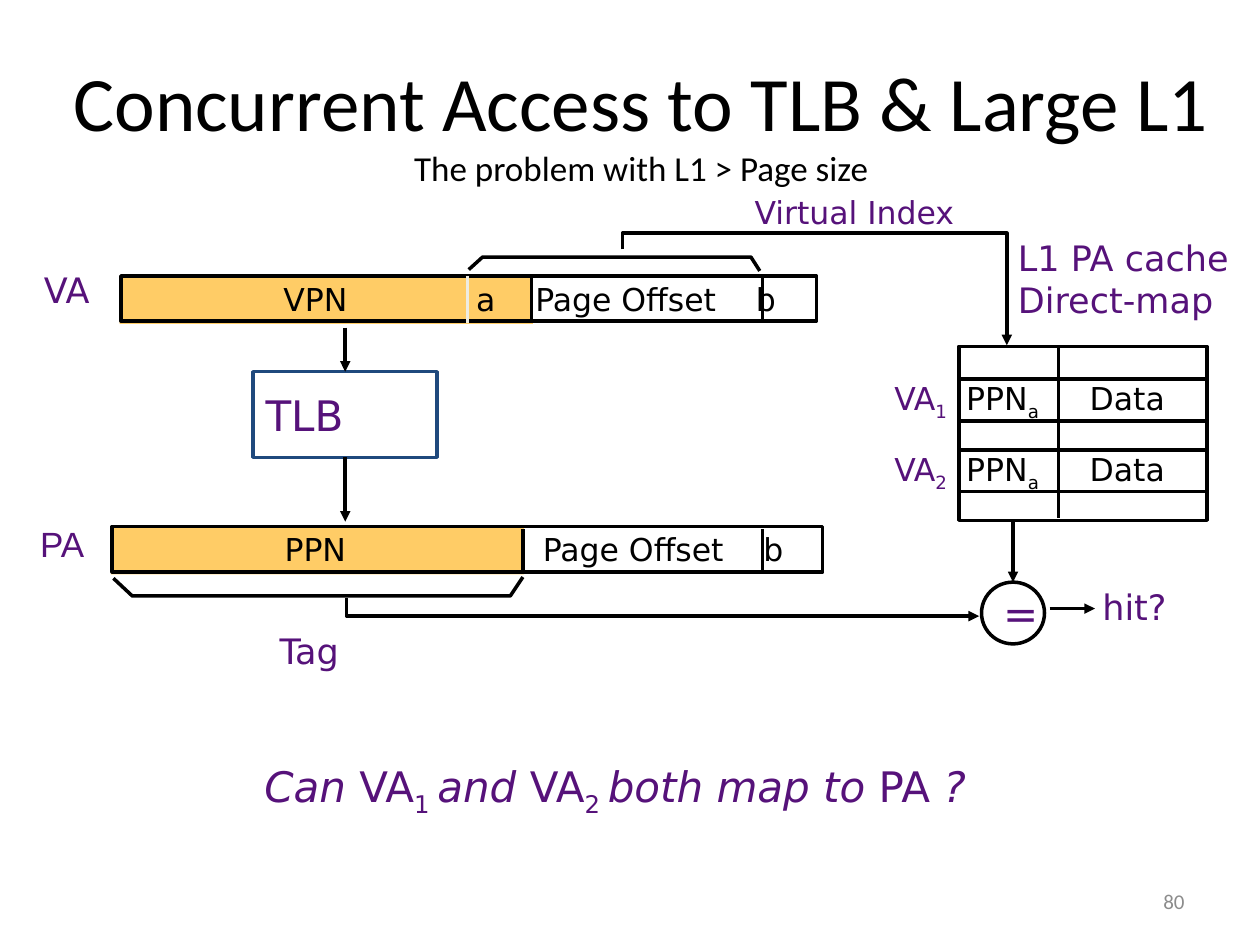
from pptx import Presentation
from pptx.dml.color import RGBColor
from pptx.enum.shapes import MSO_CONNECTOR as Conn, MSO_SHAPE as Shape
from pptx.enum.text import MSO_ANCHOR as Anchor, PP_ALIGN as Align
from pptx.oxml.ns import qn
from pptx.util import Pt
from lxml.etree import SubElement as Sub

PX = 9144  # EMU per px, 100 px to the inch
BLACK, PURPLE, GOLD = "000000", "56127A", "FFCC66"
SANS, BODY = "DejaVu Sans", "Calibri"


def tint(code):
    return RGBColor.from_string(code)


def write(frame, *paras, size=18, color=PURPLE, font=SANS, align=Align.LEFT,
          anchor=Anchor.TOP, wrap=False, tabs=()):
    """Each paragraph is a string or a list of strings and (text, style) pairs.

    A style is "i" for italic, "sub" for subscript or a number for the size.
    """
    frame.word_wrap = wrap
    frame.vertical_anchor = anchor
    for n, runs in enumerate(paras):
        para = frame.add_paragraph() if n else frame.paragraphs[0]
        para.alignment = align
        if tabs:
            stops = Sub(para._p.get_or_add_pPr(), qn("a:tabLst"))
            for pos in tabs:
                Sub(stops, qn("a:tab"), pos=str(pos * PX), algn="l")
        for item in [runs] if isinstance(runs, str) else runs:
            text, style = (item, None) if isinstance(item, str) else item
            if text == "\v":
                para.add_line_break()
                continue
            run = para.add_run()
            run.text = text
            face = run.font
            face.name, face.color.rgb = font, tint(color)
            face.size = Pt(style if isinstance(style, int) else size)
            if style == "i":
                face.italic = True
            elif style == "sub":
                run._r.get_or_add_rPr().set("baseline", "-25000")


class Deck:
    def __init__(self):
        self.prs = Presentation()
        self.prs.slide_width, self.prs.slide_height = 1000 * PX, 750 * PX
        self.slide = self.prs.slides.add_slide(self.prs.slide_layouts[6])
        self.shapes = self.slide.shapes

    def label(self, x, y, w, h, *paras, **style):
        box = self.shapes.add_textbox(x * PX, y * PX, w * PX, h * PX)
        write(box.text_frame, *paras, **style)

    def stroke(self, item, color=BLACK, arrow=False):
        item.line.color.rgb = tint(color)
        item.line.width = Pt(2)
        if arrow:
            Sub(item._element.spPr.find(qn("a:ln")), qn("a:tailEnd"), type="triangle")

    def shape(self, x, y, w, h, text="", kind=Shape.RECTANGLE, fill=None,
              line=BLACK, **style):
        item = self.shapes.add_shape(kind, x * PX, y * PX, w * PX, h * PX)
        item.shadow.inherit = False
        if fill:
            item.fill.solid()
            item.fill.fore_color.rgb = tint(fill)
        else:
            item.fill.background()
        if line:
            self.stroke(item, line)
        else:
            item.line.fill.background()
        if text:
            write(item.text_frame, text, anchor=Anchor.MIDDLE, **style)
        return item

    def line(self, x1, y1, x2, y2, color=BLACK, arrow=False, start=None, end=None):
        item = self.shapes.add_connector(Conn.STRAIGHT, x1 * PX, y1 * PX, x2 * PX, y2 * PX)
        Sub(item._element.spPr, qn("a:effectLst"))
        self.stroke(item, color, arrow)
        if start:
            item.begin_connect(*start)
        if end:
            item.end_connect(*end)

    def path_line(self, first, *rest, arrow=False):
        pen = self.shapes.build_freeform(*first, scale=PX)
        pen.add_line_segments(rest, close=False)
        item = pen.convert_to_shape()
        item.shadow.inherit = False
        item.fill.background()
        self.stroke(item, arrow=arrow)

    def bar(self, x, y, w, text, tabs, cuts):
        """Address bar: gold page number, then the offset fields."""
        self.shape(x - 1, y, 328, 38, fill=GOLD, line=None)
        self.shape(x, y, w, 36, text, color=BLACK, wrap=True, tabs=tabs)
        for cut in cuts:
            self.line(cut, y + 2, cut, y + 37)


def main():
    deck = Deck()

    # Title and page number
    deck.label(26, 46, 966, 101,
               ["Concurrent Access to TLB & Large L1", "\v",
                ("The problem with L1 > Page size", 20)],
               size=44, color=BLACK, font=BODY, align=Align.CENTER,
               anchor=Anchor.MIDDLE, wrap=True)
    deck.label(717, 695, 233, 40, "80", size=12, color="8C8C8C", font=BODY,
               align=Align.RIGHT, anchor=Anchor.MIDDLE, wrap=True)

    # Virtual and physical address bars
    deck.bar(96, 219, 552, "\tVPN\ta\tPage Offset\tb", (119, 272, 319, 494), (422, 605))
    deck.line(371, 219, 371, 256, color="EEECE1")
    deck.bar(89, 418, 564, "\tPPN\tPage Offset\tb", (127, 332, 507), (415, 605))
    deck.label(25, 208, 58, 43, "VA", size=20)
    deck.label(22, 410, 57, 43, "PA", size=20, font="Arial")

    # Translation through the TLB
    tlb = deck.shape(201, 295, 146, 68, "TLB", line="1F497D", size=24)
    deck.line(274, 260, 274, 292, arrow=True, end=(tlb, 0))
    deck.line(274, 363, 274, 414, arrow=True, start=(tlb, 2))

    # Virtual index
    deck.path_line((372, 214), (383, 204), (596, 204), (603, 215))
    deck.path_line((494, 198), (494, 185), (799, 185), (799, 274), arrow=True)
    deck.label(589, 148, 182, 40, "Virtual Index")

    # Cache with two entries
    deck.shape(761, 275, 197, 138)
    deck.line(840, 275, 840, 411)
    deck.label(798, 183, 188, 76, "L1 PA cache", "Direct-map", size=20)
    for num, top in (("1", 301), ("2", 357)):
        for y in (top, top + 33):
            deck.line(762, y, 959, y)
        deck.label(757, top - 5, 182, 40, ["PPN", ("a", "sub"), "\tData"],
                   color=BLACK, wrap=True, tabs=(98,))
        deck.label(700, top - 5, 65, 40, ["VA", (num, "sub")])

    # Tag comparison
    same = deck.shape(779, 462, 50, 49, "=", kind=Shape.OVAL, fill="FFFFFF", size=24)
    deck.line(804, 414, 804, 462, arrow=True, end=(same, 0))
    deck.path_line((90, 459), (105, 473), (405, 473), (415, 458))
    deck.path_line((275, 475), (275, 489), (777, 489), arrow=True)
    deck.label(212, 495, 71, 43, "Tag", size=20)
    deck.line(833, 483, 869, 483, arrow=True)
    deck.label(865, 460, 71, 43, "hit?", size=20)

    # Question
    deck.label(200, 599, 614, 50,
               [("Can", "i"), " VA", ("1 ", "sub"), ("and", "i"), " VA", ("2 ", "sub"),
                ("both map to", "i"), " PA ", ("?", "i")], size=24)

    deck.prs.save("out.pptx")


if __name__ == "__main__":
    main()
